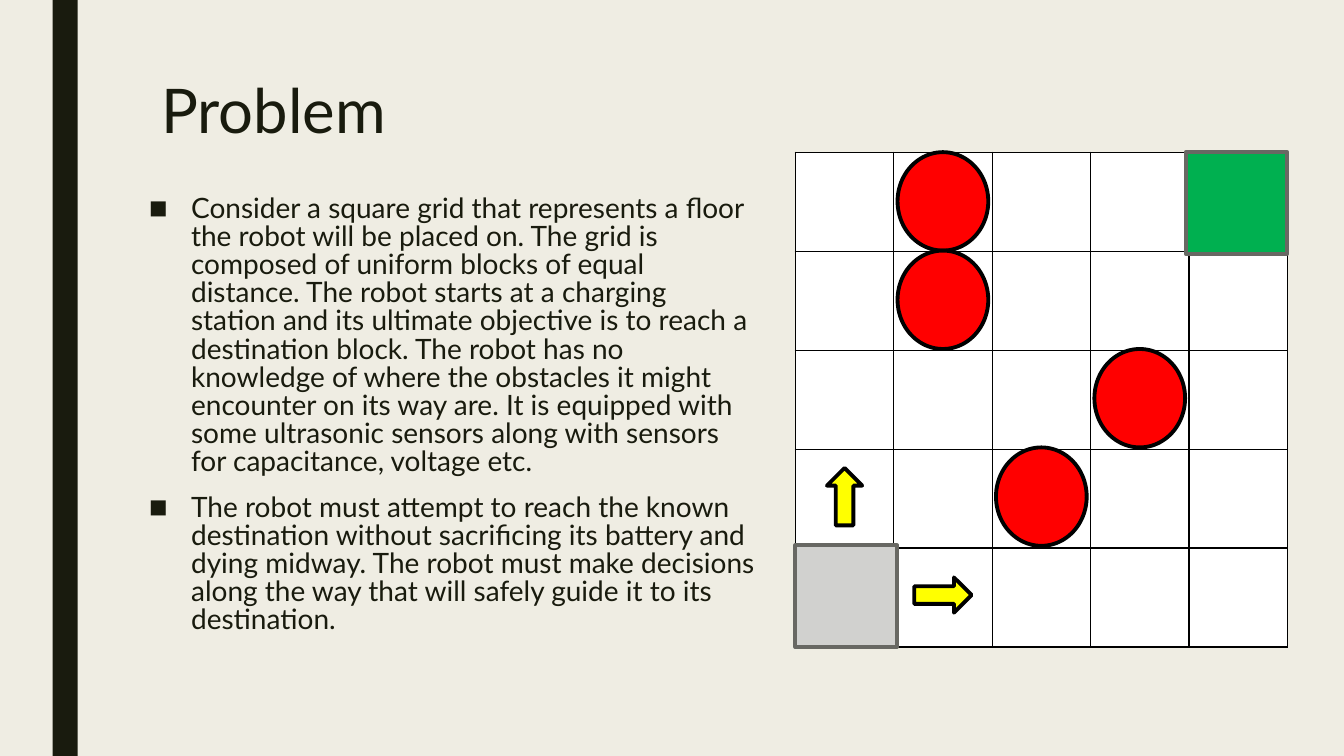
"""Build the slide that states the grid robot problem."""
from lxml.etree import SubElement
from pptx import Presentation
from pptx.dml.color import RGBColor
from pptx.enum.shapes import MSO_SHAPE as SHAPE
from pptx.enum.text import MSO_ANCHOR as ANCHOR
from pptx.oxml.ns import qn
from pptx.util import Pt

INK = RGBColor(0x19, 0x1B, 0x0E)
PAPER = RGBColor(0xEF, 0xED, 0xE3)
WHITE = RGBColor(0xFF, 0xFF, 0xFF)
BLACK = RGBColor(0x00, 0x00, 0x00)
RED = RGBColor(0xFF, 0x00, 0x00)
YELLOW = RGBColor(0xFF, 0xFF, 0x00)
GREEN = RGBColor(0x00, 0xB0, 0x50)
SILVER = RGBColor(0xD1, 0xD1, 0xCF)
GRAY = RGBColor(0x68, 0x68, 0x63)

GRID_LEFT, GRID_TOP = 568.1, 108.7
CELL, ROW_HEIGHT, COUNT = 70.3, 70.7, 5
BLOCK = 72.7

STATEMENTS = [
    "Consider a square grid that represents a floor the robot will be placed on. "
    "The grid is composed of uniform blocks of equal distance. The robot starts at "
    "a charging station and its ultimate objective is to reach a destination block. "
    "The robot has no knowledge of where the obstacles it might encounter on its way "
    "are. It is equipped with some ultrasonic sensors along with sensors for "
    "capacitance, voltage etc.",
    "The robot must attempt to reach the known destination without sacrificing its "
    "battery and dying midway. The robot must make decisions along the way that will "
    "safely guide it to its destination.",
]

deck = Presentation()
deck.slide_width, deck.slide_height = Pt(960), Pt(540)
slide = deck.slides.add_slide(deck.slide_layouts[6])
slide.background.fill.solid()
slide.background.fill.fore_color.rgb = PAPER


def add_figure(kind, left, top, width, height, fill, line=None):
    figure = slide.shapes.add_shape(kind, Pt(left), Pt(top), Pt(width), Pt(height))
    figure.shadow.inherit = False
    figure.fill.solid()
    figure.fill.fore_color.rgb = fill
    if line is None:
        figure.line.fill.background()
    else:
        figure.line.color.rgb = line
        figure.line.width = Pt(2.75)
    return figure


def add_text(left, top, width, height, texts, size, spacing):
    box = slide.shapes.add_textbox(Pt(left), Pt(top), Pt(width), Pt(height))
    frame = box.text_frame
    frame.word_wrap = True
    frame.vertical_anchor = ANCHOR.TOP
    frame.text = "\n".join(texts)
    for paragraph in frame.paragraphs:
        paragraph.line_spacing = spacing
        for run in paragraph.runs:
            run.font.name = "Lato"
            run.font.size = Pt(size)
            run.font.color.rgb = INK
    return frame.paragraphs


add_figure(SHAPE.RECTANGLE, 37.5, 0, 18, 540, INK)
add_text(108, 54, 756, 64, ["Problem"], 44, 0.89)

statements = add_text(99.4, 136.1, 447.8, 326.2, STATEMENTS, 20, 0.84)
for statement in statements:
    statement.space_after = Pt(2)
    properties = statement._p.get_or_add_pPr()
    properties.set("marL", str(Pt(30)))
    properties.set("indent", str(Pt(-30)))
    SubElement(properties, qn("a:buSzPct")).set("val", "70000")
    SubElement(properties, qn("a:buFont")).set("typeface", "Lato")
    SubElement(properties, qn("a:buChar")).set("char", "■")
statements[1].space_before = Pt(10)

floor = slide.shapes.add_table(
    COUNT, COUNT, Pt(GRID_LEFT), Pt(GRID_TOP), Pt(COUNT * CELL), Pt(COUNT * ROW_HEIGHT)
).table
floor.first_row = floor.horz_banding = False
for column in floor.columns:
    column.width = Pt(CELL)
for row in floor.rows:
    row.height = Pt(ROW_HEIGHT)
for cell in floor.iter_cells():
    borders = cell._tc.get_or_add_tcPr()
    for side in ("a:lnL", "a:lnR", "a:lnT", "a:lnB"):
        border = SubElement(borders, qn(side), w=str(Pt(1)))
        color = SubElement(SubElement(border, qn("a:solidFill")), qn("a:srgbClr"))
        color.set("val", str(BLACK))
    cell.fill.solid()
    cell.fill.fore_color.rgb = WHITE

for column, row in [(1, 0), (1, 1), (3, 2), (2, 3)]:
    left = GRID_LEFT + (column + 0.5) * CELL - 32.4
    add_figure(SHAPE.OVAL, left, GRID_TOP + row * CELL, 64.8, CELL, RED, BLACK)

start_top = GRID_TOP + COUNT * ROW_HEIGHT - BLOCK
goal_left = GRID_LEFT + COUNT * CELL - BLOCK
add_figure(SHAPE.RECTANGLE, GRID_LEFT, start_top, BLOCK, BLOCK, SILVER, GRAY)
add_figure(SHAPE.RECTANGLE, goal_left, GRID_TOP, BLOCK, BLOCK, GREEN, GRAY)

for column, row, turn in [(1, 4, 0), (0, 3, 270)]:
    left = GRID_LEFT + (column + 0.5) * CELL - 20.5
    top = GRID_TOP + (row + 0.5) * CELL - 12.6
    move = add_figure(SHAPE.RIGHT_ARROW, left, top, 41, 25.2, YELLOW, BLACK)
    move.rotation = turn

deck.save("out.pptx")
